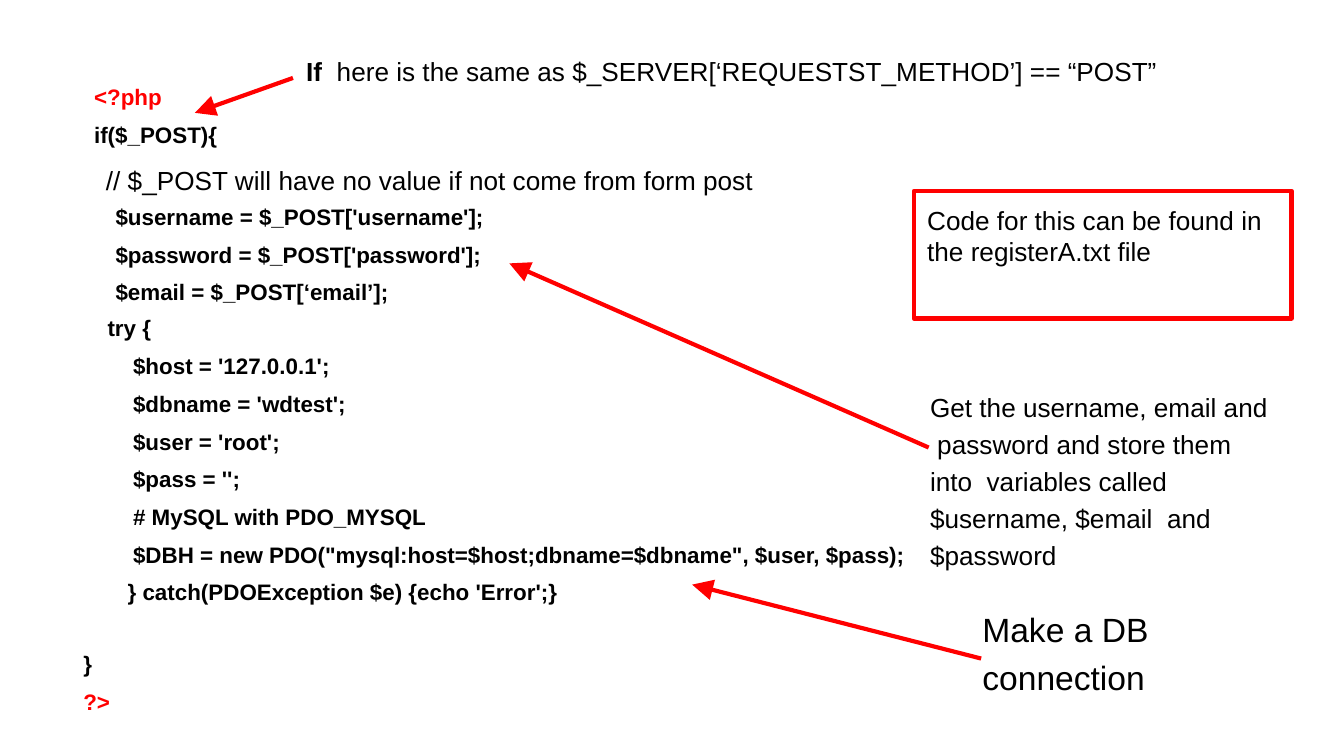
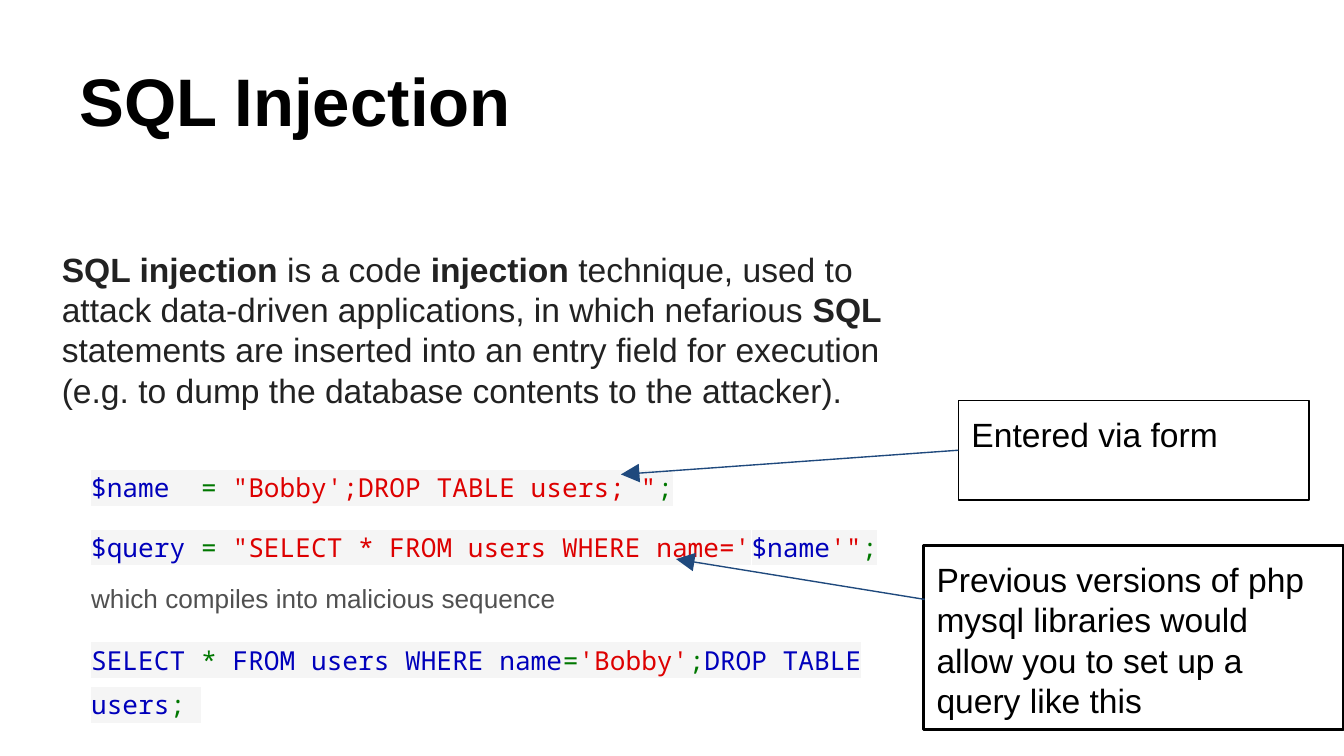
import pptx
import pptx.util
import pptx.dml.color
import pptx.enum.shapes
import pptx.enum.text
import pptx.oxml.ns
from dataclasses import dataclass
from lxml import etree

PX = 9144
FLUSH = (1, 1, 0, 0)
CODE = (1, 10, 0, 0)
PADDED = (10, 10, 10, 10)


@dataclass(frozen=True)
class Theme:
    sans: str = "Arial"
    mono: str = "Noto Sans Mono"
    black: str = "000000"
    red: str = "FF0000"
    navy: str = "1F497D"
    ink: str = "222222"
    grey: str = "505050"
    name: str = "0000BB"
    symbol: str = "007700"
    string: str = "DD0000"
    code_back: str = "F5F5F5"
    title: int = 36
    large: int = 18
    note: int = 14
    code: int = 12


T = Theme()


@dataclass
class Para:
    runs: list
    size: int = T.note
    font: str = T.sans
    color: str = T.black
    bold: bool = False
    indent: int = 0
    before: float = 0
    after: float = 0
    spacing: float = 1.0
    back: str = ""


def px(n):
    return pptx.util.Emu(n * PX)


def rgb(color):
    return pptx.dml.color.RGBColor.from_string(color)


def set_text(tf, paras, inset):
    tf.word_wrap = True
    tf.auto_size = pptx.enum.text.MSO_AUTO_SIZE.NONE
    tf.vertical_anchor = pptx.enum.text.MSO_ANCHOR.TOP
    tf.margin_left, tf.margin_top, tf.margin_right, tf.margin_bottom = map(px, inset)
    for i, para in enumerate(paras):
        p = tf.add_paragraph() if i else tf.paragraphs[0]
        p.alignment = pptx.enum.text.PP_ALIGN.LEFT
        p.line_spacing = para.spacing
        p.space_before = pptx.util.Pt(para.before)
        p.space_after = pptx.util.Pt(para.after)
        p.font.name = para.font
        p.font.size = pptx.util.Pt(para.size)
        p.font.bold = para.bold
        p.font.color.rgb = rgb(para.color)
        if para.indent:
            p._p.get_or_add_pPr().set("marL", str(px(para.indent)))
        for text, style in para.runs:
            r = p.add_run()
            r.text = text
            if "bold" in style:
                r.font.bold = style["bold"]
            if "color" in style:
                r.font.color.rgb = rgb(style["color"])
            if para.back:
                mark = etree.SubElement(r._r.get_or_add_rPr(), pptx.oxml.ns.qn("a:highlight"))
                etree.SubElement(mark, pptx.oxml.ns.qn("a:srgbClr"), val=para.back)


def plain(text, **style):
    return Para([(text, {})], **style)


def add_text(s, box, paras, inset):
    sp = s.shapes.add_textbox(*map(px, box))
    set_text(sp.text_frame, paras, inset)


def add_callout(s, box, text, size, color, width):
    sp = s.shapes.add_shape(pptx.enum.shapes.MSO_SHAPE.RECTANGLE, *map(px, box))
    sp.shadow.inherit = False
    sp.fill.background()
    sp.line.color.rgb = rgb(color)
    sp.line.width = pptx.util.Pt(width)
    set_text(sp.text_frame, [plain(text, size=size)], PADDED)


def add_arrow(s, start, end, color, width):
    line = s.shapes.add_connector(
        pptx.enum.shapes.MSO_CONNECTOR.STRAIGHT, *map(px, start + end))
    line.line.color.rgb = rgb(color)
    line.line.width = pptx.util.Pt(width)
    etree.SubElement(line.line._get_or_add_ln(), pptx.oxml.ns.qn("a:tailEnd"),
                     type="triangle", w="lg", len="lg")
    etree.SubElement(line._element.spPr, pptx.oxml.ns.qn("a:effectLst"))


def code_line(text, indent=0, color=T.black, **style):
    return plain(text, size=T.code, bold=True, indent=indent, color=color, **style)


def php_listing(s, x, y):
    gap = 5.8
    add_text(s, (x + 18, y, 115, 59), [
        code_line("<?php", color=T.red, spacing=1.41),
        code_line("if($_POST){", spacing=1.41)], FLUSH)
    add_text(s, (x + 34, y + 88, 334, 95), [code_line(t, before=gap) for t in (
        "$username = $_POST['username'];",
        "$password = $_POST['password'];",
        "$email = $_POST[‘email’];")], CODE)
    connection = [code_line(t, 19, before=gap) for t in (
        "$host = '127.0.0.1';",
        "$dbname = 'wdtest';",
        "$user = 'root';",
        "$pass = '';",
        "# MySQL with PDO_MYSQL",
        '$DBH = new PDO("mysql:host=$host;dbname=$dbname", $user, $pass);')]
    add_text(s, (x + 28, y + 171, 621, 254), [
        code_line("try {"), *connection,
        code_line("} catch(PDOException $e) {echo 'Error';}", 15, before=gap)], CODE)
    add_text(s, (x + 18, y + 59, 542, 59),
             [plain("// $_POST will have no value if not come from form post")], PADDED)
    add_text(s, (x, y + 421, 105, 71), [
        code_line("}", before=gap),
        code_line("?>", color=T.red, before=gap)], (11, 10, 10, 10))


def php_notes(s, x, y):
    add_callout(s, (x, y, 281, 95), "Code for this can be found in the registerA.txt file",
                T.note, T.red, 2.25)
    add_text(s, (x + 11, y + 143, 258, 95), [plain(
        "Get the username, email and  password and store them into  variables called "
        "$username, $email  and $password", spacing=1.18)], (1, 2, 4, 0))
    add_text(s, (x + 50, y + 304, 177, 88),
             [plain("Make a DB connection", size=T.large, spacing=1.18)], (1, 2, 0, 0))


def condition_note(s, x, y):
    add_text(s, (x, y, 702, 55), [Para([
        ("If ", {"bold": True}),
        (" here is the same as $_SERVER[‘REQUESTST_METHOD’] == “POST”", {})])], PADDED)


def php_slide(prs):
    s = prs.slides.add_slide(prs.slide_layouts[6])
    php_listing(s, 51, 53)
    php_notes(s, 680, 142)
    condition_note(s, 218, 31)
    for start, end in (((691, 333), (379, 196)),
                       ((730, 490), (515, 435)),
                       ((218, 58), (145, 84))):
        add_arrow(s, start, end, T.red, 2.25)


def slide_title(s, box, text):
    sp = s.shapes.title
    sp.left, sp.top, sp.width, sp.height = map(px, box)
    set_text(sp.text_frame, [plain(text, size=T.title, bold=True)], FLUSH)


def definition(s, box):
    bold = {"bold": True}
    add_text(s, box, [Para([
        ("SQL injection", bold),
        (" is a code ", {}),
        ("injection", bold),
        (" technique, used to attack data-driven applications, in which nefarious ", {}),
        ("SQL", bold),
        (" statements are inserted into an entry field for execution "
         "(e.g. to dump the database contents to the attacker).", {})],
        size=T.large, color=T.ink)], FLUSH)


def sql_line(*runs):
    return Para([(text, {"color": color}) for text, color in runs],
                font=T.mono, spacing=1.43, after=8, back=T.code_back)


def sql_listing(s, box):
    add_text(s, box, [
        sql_line(("$name  ", T.name), ("= ", T.symbol),
                 ("\"Bobby';DROP TABLE users; \"", T.string), (";", T.symbol)),
        sql_line(("$query ", T.name), ("= ", T.symbol),
                 ("\"SELECT * FROM users WHERE name='", T.string), ("$name", T.name),
                 ("'\"", T.string), (";", T.symbol)),
        plain("which compiles into malicious sequence", color=T.grey, spacing=1.15, after=9),
        sql_line(("SELECT ", T.name), ("* ", T.symbol), ("FROM users WHERE name", T.name),
                 ("=", T.symbol), ("'Bobby'", T.string), (";", T.symbol),
                 ("DROP TABLE users", T.name), ("; ", T.symbol))], PADDED)


def sql_notes(s, x, y):
    add_callout(s, (x + 26, y, 261, 74), "Entered via form", T.large, T.black, 0.75)
    add_arrow(s, (x + 26, y + 37), (x - 225, y + 55), T.navy, 0.75)
    add_callout(s, (x, y + 108, 313, 137),
                "Previous versions of php mysql libraries would allow you to set up "
                "a query like this", T.large, T.black, 1.5)
    add_arrow(s, (x + 1, y + 148), (x - 184, y + 118), T.navy, 0.75)


def injection_slide(prs):
    s = prs.slides.add_slide(prs.slide_layouts[5])
    slide_title(s, (58, 43, 324, 63), "SQL Injection")
    definition(s, (45, 184, 651, 139))
    sql_listing(s, (58, 331, 626, 169))
    sql_notes(s, 687, 298)


def main():
    prs = pptx.Presentation()
    prs.slide_width = px(1000)
    prs.slide_height = pptx.util.Emu(prs.slide_width * 9 // 16)
    php_slide(prs)
    injection_slide(prs)
    prs.save("out.pptx")


if __name__ == "__main__":
    main()
